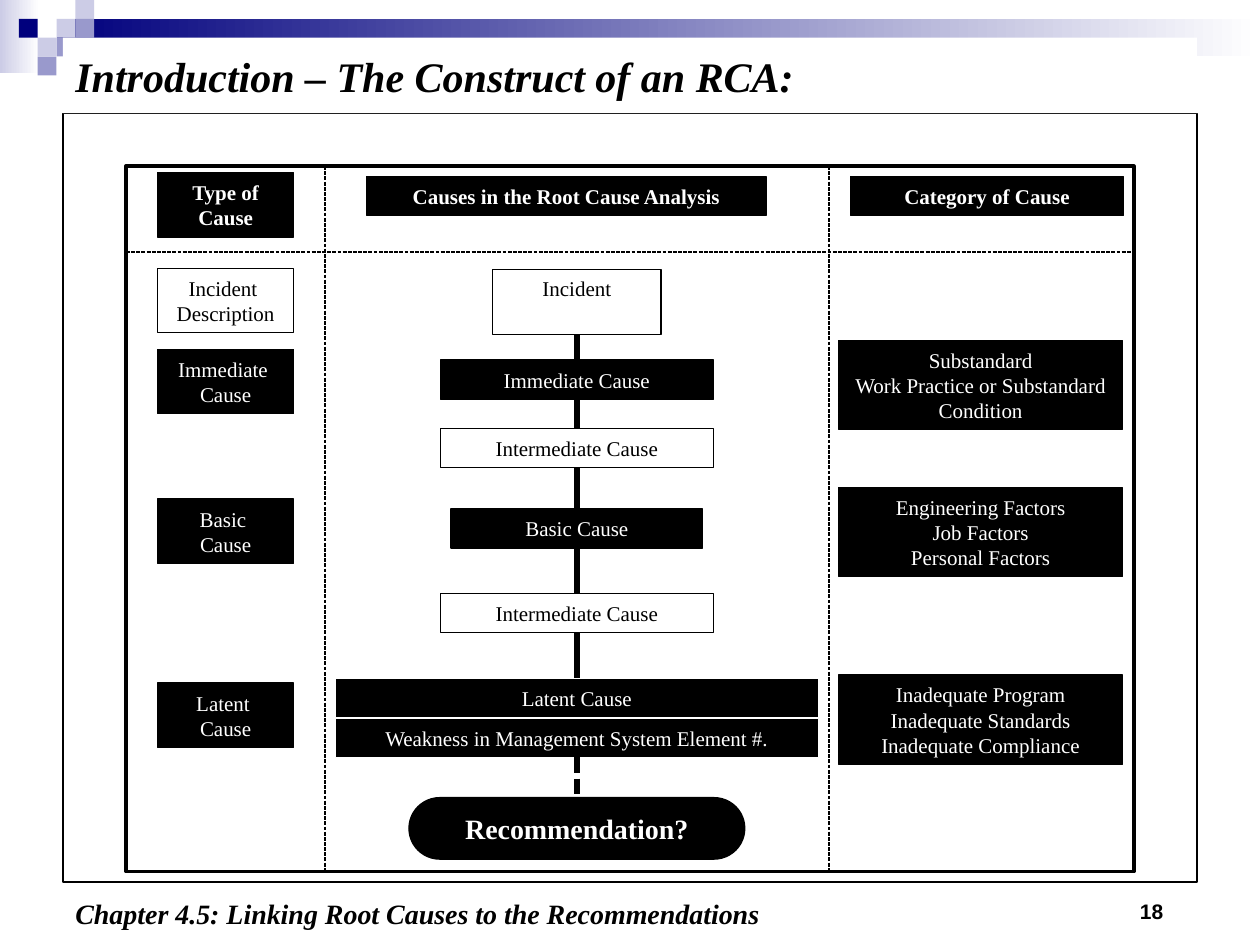
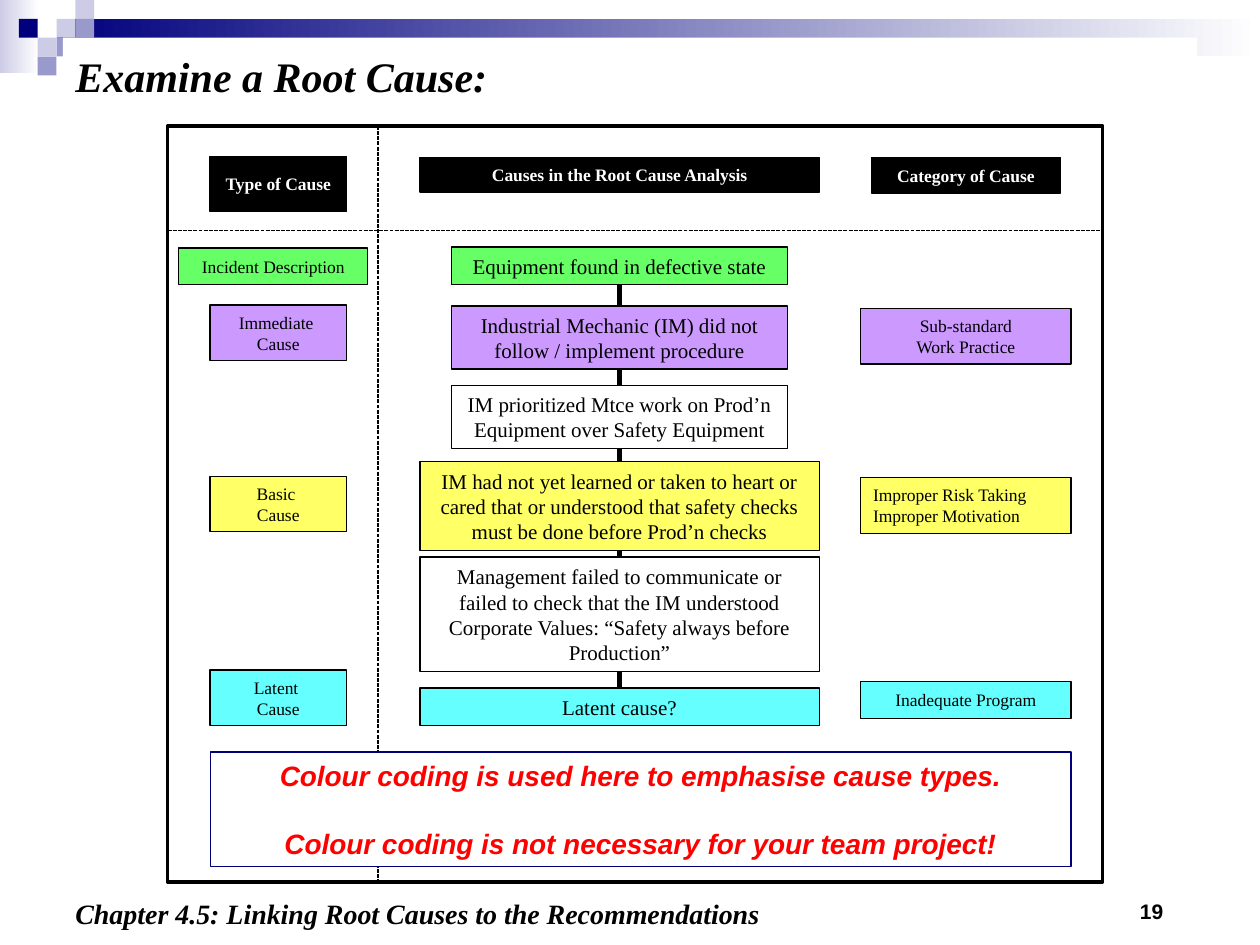
from itertools import pairwise

from lxml.etree import SubElement
from pptx import Presentation
from pptx.dml.color import RGBColor
from pptx.enum.dml import MSO_LINE_DASH_STYLE as DASH
from pptx.enum.shapes import MSO_CONNECTOR, MSO_SHAPE as SHAPE
from pptx.enum.text import MSO_ANCHOR as ANCHOR, PP_ALIGN as ALIGN
from pptx.oxml.ns import qn
from pptx.util import Cm, Pt

SERIF, SANS = "Times New Roman", "Arial"
BLACK, WHITE, RED = "000000", "FFFFFF", "FF0000"
NAVY, LILAC, PALE = "00007D", "9999CC", "CCCCE6"
GREEN, PURPLE, YELLOW, CYAN = "66FF66", "CC99FF", "FFFF66", "66FFFF"
FOOTER = "Chapter 4.5: Linking Root Causes to the Recommendations"
SQUARE = 0.38
SQUARES = [(3, 1, PALE), (4, 0, PALE), (4, 1, LILAC), (2, 2, PALE),
           (1, 1, NAVY), (3, 2, LILAC), (2, 3, LILAC)]


def rgb(color):
    return RGBColor.from_string(color)


class Deck:
    """Hold the shared style and the current slide, and draw its elements."""

    def __init__(self):
        self.prs = Presentation()
        self.prs.slide_width, self.prs.slide_height = Cm(25.4), Cm(19.05)

    def start(self, size):
        self.size = size
        self.s = self.prs.slides.add_slide(self.prs.slide_layouts[6])
        self.gradient(0, 0, 0.79, 1.47, PALE)
        self.gradient(3 * SQUARE, SQUARE, 24.26, 2 * SQUARE, NAVY)
        for col, row, color in SQUARES:
            self.rect(col * SQUARE, row * SQUARE, SQUARE, SQUARE, color)

    def rect(self, x, y, w, h, fill, line=None, width=0.75, kind=SHAPE.RECTANGLE):
        sp = self.s.shapes.add_shape(kind, Cm(x), Cm(y), Cm(w), Cm(h))
        sp.shadow.inherit = False
        sp.fill.solid()
        sp.fill.fore_color.rgb = rgb(fill)
        if line:
            sp.line.color.rgb = rgb(line)
            sp.line.width = Pt(width)
        else:
            sp.line.fill.background()
        return sp

    def gradient(self, x, y, w, h, color):
        sp = self.rect(x, y, w, h, color)
        sp.fill.gradient()
        sp.fill.gradient_angle = 0
        for stop, shade in zip(sp.fill.gradient_stops, (color, WHITE)):
            stop.color.rgb = rgb(shade)

    def put_text(self, sp, text, size, color=BLACK, font=SERIF, bold=False,
                 italic=False, align=ALIGN.CENTER, anchor=ANCHOR.MIDDLE, gap=0):
        tf = sp.text_frame
        tf.word_wrap = True
        tf.vertical_anchor = anchor
        paragraphs = [text] if isinstance(text, str) else text
        for i, lines in enumerate(paragraphs):
            p = tf.add_paragraph() if i else tf.paragraphs[0]
            p.alignment = align
            if i:
                p.space_before = Pt(gap)
            for j, line in enumerate(lines.split("\n")):
                if j:
                    p.add_line_break()
                r = p.add_run()
                r.text = line
                r.font.name, r.font.size = font, Pt(size)
                r.font.bold, r.font.italic = bold, italic
                r.font.color.rgb = rgb(color)
        return tf

    def box(self, cx, y, w, h, text, fill=BLACK, line=BLACK,
            kind=SHAPE.RECTANGLE, size=None, **style):
        sp = self.rect(cx - w / 2, y, w, h, fill, line, kind=kind)
        color = WHITE if fill == BLACK else BLACK
        self.put_text(sp, text, size or self.size, color, **style)
        return sp

    def line(self, x1, y1, x2, y2, width=0.75, dash=None):
        self.connect(Cm(x1), Cm(y1), Cm(x2), Cm(y2), width, dash)

    def link(self, upper, lower, dash=None):
        x = upper.left + upper.width // 2
        self.connect(x, upper.top + upper.height, x, lower.top, 3, dash)

    def connect(self, x1, y1, x2, y2, width, dash):
        c = self.s.shapes.add_connector(MSO_CONNECTOR.STRAIGHT, x1, y1, x2, y2)
        c.line.color.rgb = rgb(BLACK)
        c.line.width = Pt(width)
        if dash:
            c.line.dash_style = dash
        SubElement(c._element.spPr, qn("a:effectLst"))

    def grid(self, x, y, w, h, columns, row):
        for column in columns:
            self.line(column, y, column, y + h, dash=DASH.SQUARE_DOT)
        self.line(x, row, x + w, row, dash=DASH.SQUARE_DOT)

    def text(self, x, y, w, h, text, size, **style):
        sp = self.s.shapes.add_textbox(Cm(x), Cm(y), Cm(w), Cm(h))
        return self.put_text(sp, text, size, bold=True, anchor=ANCHOR.TOP, **style)

    def title(self, text):
        sp = self.rect(1.27, 0.76, 22.86, 1.52, WHITE)
        self.put_text(sp, text, 24, bold=True, italic=True, align=ALIGN.LEFT)

    def footer(self, number):
        self.text(21.16, 17.98, 2.54, 0.64, number, 12, font=SANS, align=ALIGN.RIGHT)
        tf = self.text(1.27, 18.03, 17.02, 1.02, FOOTER, 16, italic=True,
                       align=ALIGN.LEFT)
        tf.paragraphs[0].line_spacing = 0.9


def construct_slide(d):
    d.start(12)
    d.rect(1.27, 2.29, 22.86, 15.49, WHITE, BLACK)
    frame = (2.54, 3.35, 20.32, 14.22)
    d.rect(*frame, WHITE, BLACK, 2)
    left, middle, right = 4.55, 11.63, 19.77

    chain = [d.box(middle, 5.44, 3.39, 1.3, "Incident", WHITE, anchor=ANCHOR.TOP)]
    for y, w, text, fill, line in [
            (7.26, 5.5, "Immediate Cause", BLACK, BLACK),
            (8.64, 5.5, "Intermediate Cause", WHITE, BLACK),
            (10.26, 5.08, "Basic Cause", BLACK, BLACK),
            (11.96, 5.5, "Intermediate Cause", WHITE, BLACK),
            (13.67, 9.74, "Latent Cause", BLACK, WHITE)]:
        chain.append(d.box(middle, y, w, 0.79, text, fill, line))
    for upper, lower in pairwise(chain):
        d.link(upper, lower)
    weakness = d.box(middle, 14.48, 9.74, 0.79,
                     "Weakness in Management System Element #.", line=WHITE)
    answer = d.box(middle, 16.08, 6.77, 1.24, "Recommendation?", size=16, bold=True,
                   kind=SHAPE.ROUNDED_RECTANGLE)
    answer.adjustments[0] = 0.5
    d.link(weakness, answer, DASH.SQUARE_DOT)

    for y, text, fill in [(5.41, "Incident \nDescription", WHITE),
                          (7.04, "Immediate \nCause", BLACK),
                          (10.06, "Basic \nCause", BLACK),
                          (13.77, "Latent \nCause", BLACK)]:
        d.box(left, y, 2.75, 1.3, text, fill)
    for y, text in [
            (6.86, "Substandard\nWork Practice or Substandard Condition"),
            (9.83, "Engineering Factors\nJob Factors\nPersonal Factors"),
            (13.61, "Inadequate Program\nInadequate Standards\nInadequate Compliance")]:
        d.box(right, y, 5.72, 1.8, text)

    d.box(left, 3.48, 2.75, 1.3, "Type of Cause", bold=True)
    d.box(11.42, 3.56, 8.05, 0.79, "Causes in the Root Cause Analysis", bold=True)
    d.box(19.9, 3.56, 5.5, 0.79, "Category of Cause", bold=True)
    d.grid(*frame, columns=(6.55, 16.71), row=5.08)
    d.title("Introduction – The Construct of an RCA:")
    d.footer("18")


def example_slide(d):
    d.start(10)
    d.title("Examine a Root Cause:")
    frame = (3.38, 2.54, 18.85, 15.24)
    d.rect(*frame, WHITE, BLACK, 2)
    d.grid(*frame, columns=(7.62,), row=4.65)
    left, middle, right = 5.61, 12.49, 19.47

    d.line(middle, 5.74, middle, 13.87, 3)
    for y, w, h, text, fill in [
            (4.98, 6.78, 0.76, "Equipment found in defective state", GREEN),
            (6.17, 6.78, 1.27, "Industrial Mechanic (IM) did not follow / "
             "implement procedure", PURPLE),
            (7.77, 6.78, 1.27, "IM prioritized Mtce work on Prod’n Equipment "
             "over Safety Equipment", WHITE),
            (9.3, 8.05, 1.8, "IM had not yet learned or taken to heart or cared that "
             "or understood that safety checks must be done before Prod’n checks",
             YELLOW),
            (11.23, 8.05, 2.31, "Management failed to communicate or failed to check "
             "that the IM understood Corporate Values: “Safety always before "
             "Production”", WHITE),
            (13.87, 8.05, 0.76, "Latent cause?", CYAN)]:
        d.box(middle, y, w, h, text, fill, size=12)

    d.box(5.51, 5, 3.81, 0.74, "Incident Description", GREEN)
    for y, text, fill in [(6.15, "Immediate \nCause", PURPLE),
                          (9.6, "Basic \nCause", YELLOW),
                          (13.51, "Latent \nCause", CYAN)]:
        d.box(left, y, 2.75, 1.12, text, fill)
    d.box(right, 6.22, 4.24, 1.12, "Sub-standard\nWork Practice", PURPLE)
    motive = d.box(right, 9.63, 4.24, 1.12, "Improper Risk Taking\nImproper Motivation",
                   YELLOW, align=ALIGN.LEFT)
    motive.text_frame.word_wrap = False
    d.box(right, 13.74, 4.24, 0.74, "Inadequate Program", CYAN)

    d.box(left, 3.15, 2.75, 1.12, "Type of Cause", bold=True)
    d.box(middle, 3.18, 8.05, 0.69, "Causes in the Root Cause Analysis", bold=True)
    d.box(right, 3.18, 3.81, 0.71, "Category of Cause", bold=True)
    note = d.rect(4.24, 15.16, 17.35, 2.31, WHITE, NAVY)
    d.put_text(note, ["Colour coding is used here to emphasise cause types.",
                      "Colour coding is not necessary for your team project!"],
               16, RED, SANS, bold=True, italic=True, anchor=ANCHOR.TOP, gap=20)
    d.footer("19")


def main():
    d = Deck()
    construct_slide(d)
    example_slide(d)
    d.prs.save("out.pptx")


if __name__ == "__main__":
    main()
